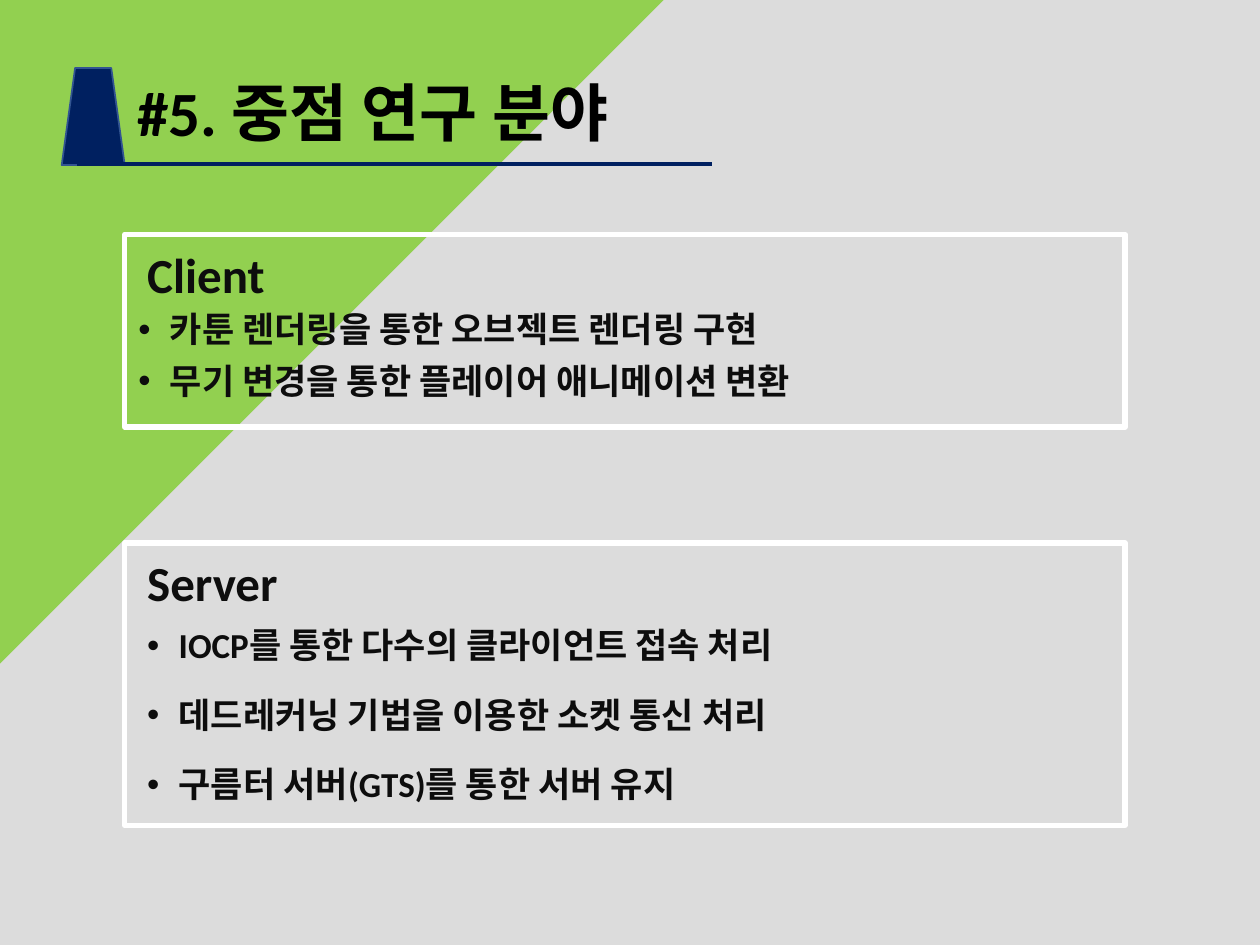
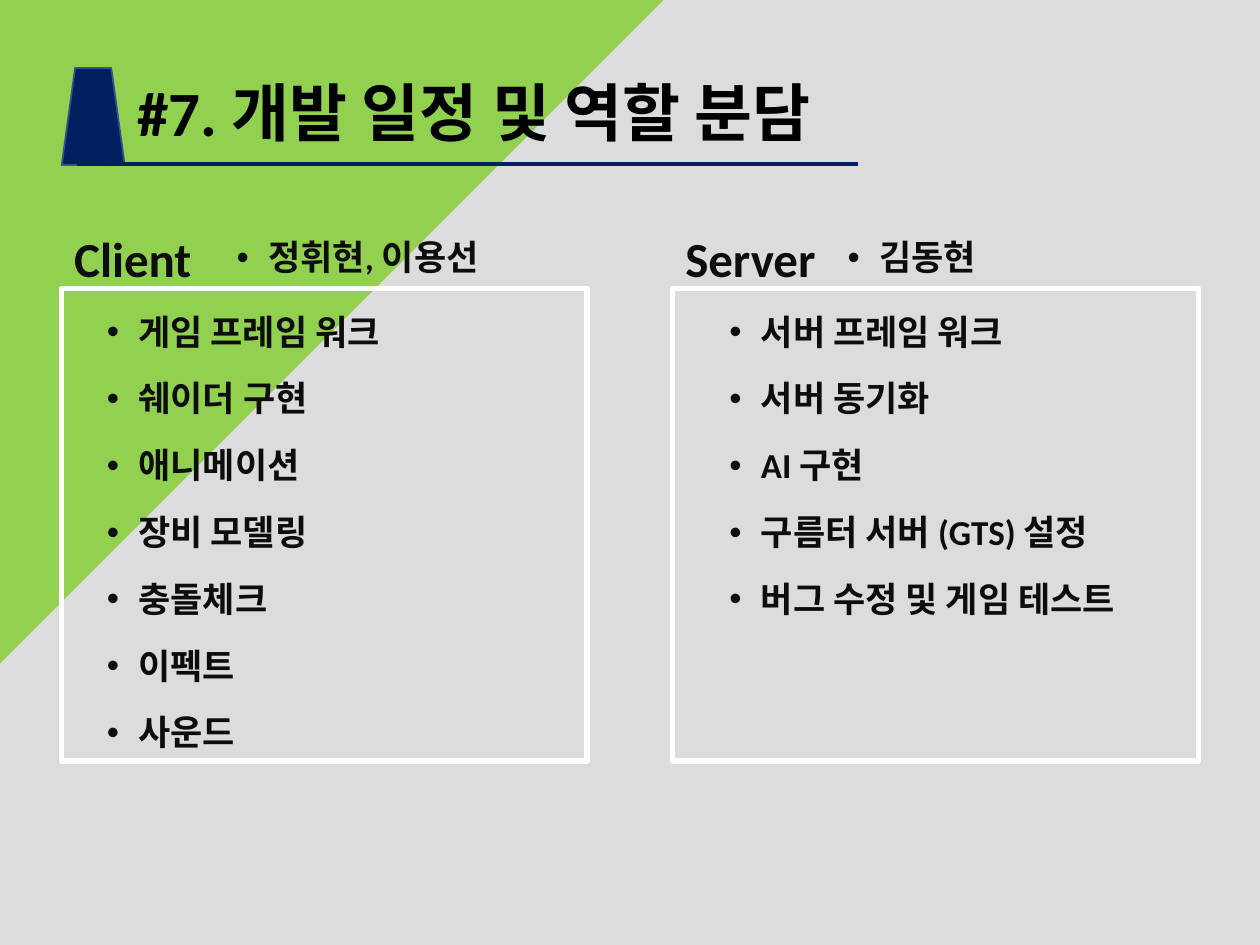
from lxml.etree import SubElement
from pptx import Presentation
from pptx.dml.color import RGBColor
from pptx.enum.shapes import MSO_CONNECTOR, MSO_SHAPE
from pptx.enum.text import MSO_ANCHOR, MSO_AUTO_SIZE, PP_ALIGN
from pptx.oxml.ns import qn
from pptx.util import Inches, Pt

COLOURS = {
    "background": "DCDCDC",
    "corner": "92D050",
    "navy": "002060",
    "navy edge": "325491",
    "frame": "FFFFFF",
    "title": "000000",
    "text": "0D0D0D",
}
TITLE_ONLY = 5
LINE_HEIGHT = 0.41


def colour(name):
    return RGBColor.from_string(COLOURS[name])


class Deck:
    """Holds the shared style and the current slide."""

    font = "Calibri"
    sizes = {"title": 36, "heading": 28, "item": 20}

    def __init__(self):
        self.presentation = Presentation()
        self.presentation.slide_width = Inches(10)
        self.presentation.slide_height = Inches(7.5)
        self.slide = None

    def new_slide(self, title, title_width, rule_end):
        layout = self.presentation.slide_layouts[TITLE_ONLY]
        self.slide = self.presentation.slides.add_slide(layout)
        # Backdrop
        self.shape(MSO_SHAPE.RECTANGLE, 0, 0, 10, 7.5, fill="background")
        corner = self.shape(MSO_SHAPE.ISOSCELES_TRIANGLE, -2.44, -0.56, 7.48, 3.75, fill="corner")
        corner.rotation = 315
        # Title, raised above the backdrop
        placeholder = self.slide.shapes.title
        self.slide.shapes._spTree.append(placeholder._element)
        self.place(placeholder, 0.99, 0.53, title_width, 0.71)
        self.fill_text(placeholder, title, "title", "title")
        placeholder.text_frame.auto_size = MSO_AUTO_SIZE.SHAPE_TO_FIT_TEXT
        # Title marker and rule
        marker = self.shape(MSO_SHAPE.TRAPEZOID, 0.49, 0.54, 0.5, 0.77,
                            fill="navy", line="navy edge", weight=1)
        marker.adjustments[0] = 0.213
        self.rule(0.61, 1.3, rule_end)

    def place(self, shape, left, top, width, height):
        box = {"left": left, "top": top, "width": width, "height": height}
        for name, value in box.items():
            setattr(shape, name, Inches(value))

    def shape(self, kind, left, top, width, height, fill=None, line=None, weight=0):
        shape = self.slide.shapes.add_shape(
            kind, Inches(left), Inches(top), Inches(width), Inches(height))
        shape.shadow.inherit = False
        if fill:
            shape.fill.solid()
            shape.fill.fore_color.rgb = colour(fill)
        else:
            shape.fill.background()
        if line:
            shape.line.color.rgb = colour(line)
            shape.line.width = Pt(weight)
        else:
            shape.line.fill.background()
        return shape

    def rule(self, start, top, end):
        line = self.slide.shapes.add_connector(
            MSO_CONNECTOR.STRAIGHT, Inches(start), Inches(top), Inches(end), Inches(top))
        line.line.color.rgb = colour("navy")
        line.line.width = Pt(2)
        SubElement(line._element.spPr, qn("a:effectLst"))

    def frame(self, left, top, width, height):
        self.shape(MSO_SHAPE.RECTANGLE, left, top, width, height, line="frame", weight=3)

    def fill_text(self, shape, text, size, text_colour, spacing=1.0, bullet=False):
        frame = shape.text_frame
        frame.word_wrap = True
        frame.vertical_anchor = MSO_ANCHOR.TOP
        paragraph = frame.paragraphs[0]
        paragraph.alignment = PP_ALIGN.LEFT
        paragraph.line_spacing = spacing
        if bullet:
            properties = paragraph._p.get_or_add_pPr()
            properties.set("marL", str(Inches(0.25)))
            properties.set("indent", str(-Inches(0.25)))
            SubElement(properties, qn("a:buFont"), typeface="Arial")
            SubElement(properties, qn("a:buChar"), char="•")
        run = paragraph.add_run()
        run.text = text
        style = {"name": self.font, "size": Pt(self.sizes[size]), "bold": True}
        for name, value in style.items():
            setattr(run.font, name, value)
        run.font.color.rgb = colour(text_colour)

    def text(self, text, left, top, width, size, bullet=False):
        box = self.slide.shapes.add_textbox(
            Inches(left), Inches(top), Inches(width), Inches(LINE_HEIGHT))
        self.fill_text(box, text, size, "text", 0.9, bullet)

    def heading(self, text, left, top):
        self.text(text, left, top, 2.45, "heading")

    def items(self, texts, left, top, width, pitch=0.0):
        for index, text in enumerate(texts):
            self.text(text, left, top + index * pitch, width, "item", bullet=True)


def research_slide(deck):
    deck.new_slide("#5. 중점 연구 분야", 4.88, 5.65)
    # Framed group: heading, frame top and height, items left and top, width, pitch, items
    groups = [
        ("Client", 1.86, 1.53, 1.0, 2.43, 6.48, 0.41,
         ["카툰 렌더링을 통한 오브젝트 렌더링 구현", "무기 변경을 통한 플레이어 애니메이션 변환"]),
        ("Server", 4.31, 2.24, 1.07, 4.94, 5.58, 0.55,
         ["IOCP를 통한 다수의 클라이언트 접속 처리", "데드레커닝 기법을 이용한 소켓 통신 처리",
          "구름터 서버(GTS)를 통한 서버 유지"]),
    ]
    for heading, top, height, left, first, width, pitch, texts in groups:
        deck.frame(0.99, top, 7.94, height)
        deck.heading(heading, 1.07, top + 0.08)
        deck.items(texts, left, first, width, pitch)


def schedule_slide(deck):
    deck.new_slide("#7. 개발 일정 및 역할 분담", 6.02, 6.81)
    # Team column: heading, members, frame left, items left, width, tasks
    columns = [
        ("Client", "정휘현, 이용선", 0.49, 0.75, 2.53,
         ["게임 프레임 워크", "쉐이더 구현", "애니메이션", "장비 모델링",
          "충돌체크", "이펙트", "사운드"]),
        ("Server", "김동현", 5.34, 5.69, 3.56,
         ["서버 프레임 워크", "서버 동기화", "AI 구현",
          "구름터 서버 (GTS) 설정", "버그 수정 및 게임 테스트"]),
    ]
    for heading, members, left, items_left, width, tasks in columns:
        deck.frame(left, 2.29, 4.17, 3.75)
        deck.heading(heading, left, 1.82)
        deck.items([members], left + 1.29, 1.86, 2.33)
        deck.items(tasks, items_left, 2.45, width, 0.53)


def main():
    deck = Deck()
    research_slide(deck)
    schedule_slide(deck)
    deck.presentation.save("out.pptx")


if __name__ == "__main__":
    main()
